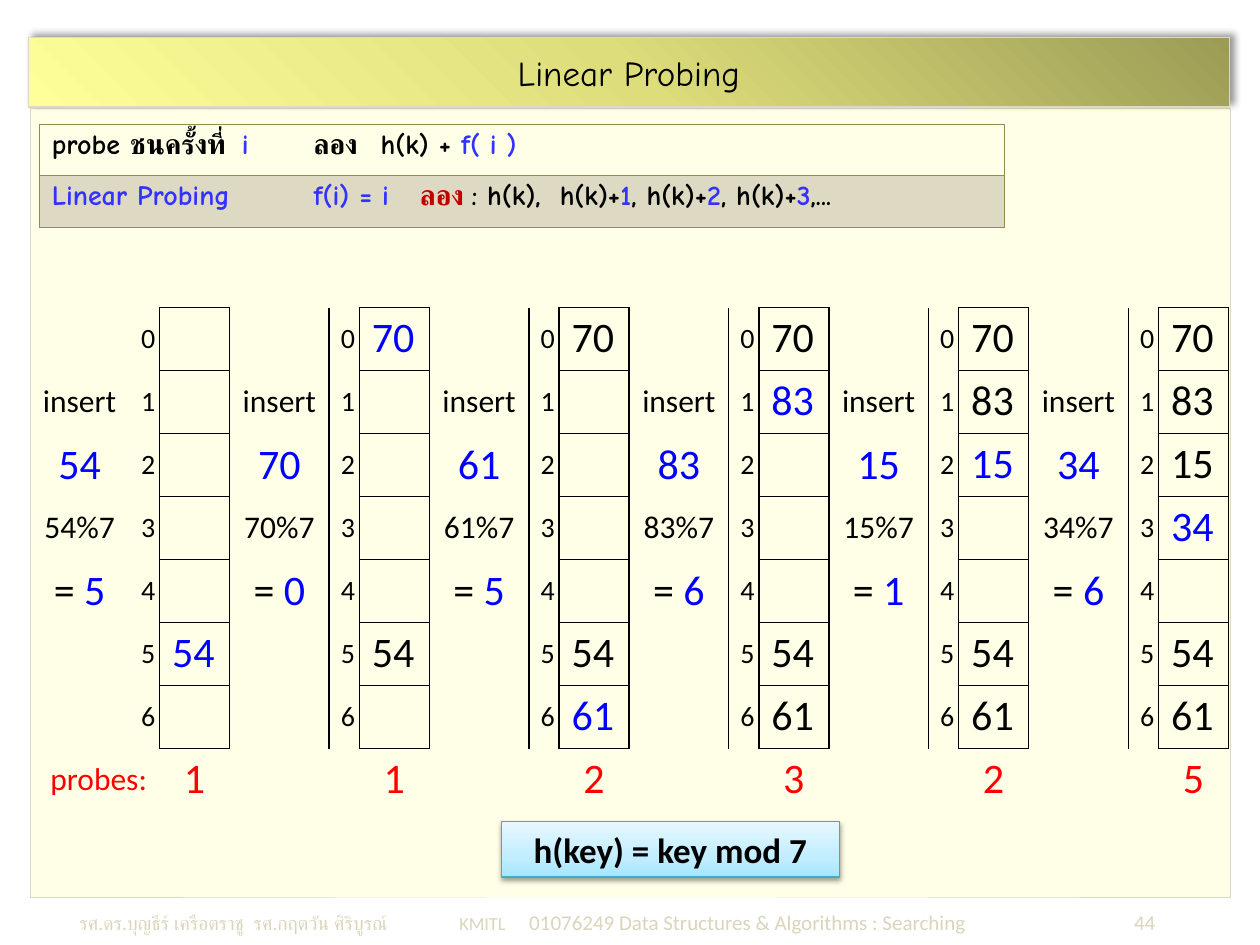
from dataclasses import dataclass

from lxml import etree
from pptx import Presentation
from pptx.dml.color import RGBColor
from pptx.enum.shapes import MSO_SHAPE
from pptx.enum.text import MSO_ANCHOR, PP_ALIGN
from pptx.oxml.ns import qn
from pptx.util import Cm, Pt

RECTANGLE = MSO_SHAPE.RECTANGLE
TOP, MIDDLE = MSO_ANCHOR.TOP, MSO_ANCHOR.MIDDLE
LEFT, CENTER, RIGHT = PP_ALIGN.LEFT, PP_ALIGN.CENTER, PP_ALIGN.RIGHT
EMU_PER_POINT = 12700
NO_STYLE = "{2D5ABB26-0587-4C30-8999-92F81FD0307C}"


@dataclass(frozen=True)
class Theme:
    black: str = "000000"
    panel: str = "FFFFE7"
    beige: str = "DDD9C3"
    olive: str = "948A54"
    teal: str = "46AAC5"
    footer: str = "DAD5BC"
    accent: str = "3333FF"
    new_key: str = "0000FF"
    red: str = "FF0000"
    dark_red: str = "C00000"
    title_stops: tuple = ((0, "9C9C56"), (50, "DDDD7B"), (100, "FFFF99"))
    note_stops: tuple = ((0, "A7E6FF"), (35, "C1EDFF"), (100, "E7F8FF"))
    body: str = "Calibri"
    hand: str = "Comic Neue"
    heading: float = 20
    key: float = 24
    step: float = 18
    label: float = 16
    small: float = 12


class SlideBuilder:
    def __init__(self, slide, theme):
        self.slide = slide
        self.theme = theme

    def fill_text(self, frame, spans, font, align=LEFT, tabs=()):
        """Fill a frame with one paragraph of (text, size, colour, bold) spans."""
        para = frame.paragraphs[0]
        para.alignment = align
        if tabs:
            tab_list = etree.SubElement(para._p.get_or_add_pPr(), qn("a:tabLst"))
            for position, kind in tabs:
                etree.SubElement(tab_list, qn("a:tab"), pos=str(Cm(position)), algn=kind)
        for text, size, colour, bold in spans:
            span = para.add_run()
            span.text = text
            span.font.name = font
            span.font.size = Pt(size)
            span.font.bold = bold
            span.font.color.rgb = RGBColor.from_string(colour)

    def rectangle(self, place, fill, line, weight):
        box = self.slide.shapes.add_shape(RECTANGLE, *map(Cm, place))
        box.shadow.inherit = False
        if isinstance(fill, str):
            box.fill.solid()
            box.fill.fore_color.rgb = RGBColor.from_string(fill)
        box.line.color.rgb = RGBColor.from_string(line)
        box.line.width = Pt(weight)
        return box

    def banner(self, place, stops, angle, line, shadow, text, font, bold):
        """Rectangle with a gradient, a soft shadow and a centred line of text."""
        box = self.rectangle(place, None, line, 0.75)
        box.fill.gradient()
        box.fill.gradient_angle = 360 - angle
        stop_list = box._element.spPr.find(".//" + qn("a:gsLst"))
        for stop in list(stop_list):
            stop_list.remove(stop)
        for position, colour in stops:
            stop = etree.SubElement(stop_list, qn("a:gs"), pos=str(position * 1000))
            etree.SubElement(stop, qn("a:srgbClr"), val=colour)
        alpha, blur, distance, direction = shadow
        outer = etree.SubElement(
            box._element.spPr.find(qn("a:effectLst")), qn("a:outerShdw"),
            blurRad=str(int(blur * EMU_PER_POINT)), dist=str(int(distance * EMU_PER_POINT)),
            dir=str(direction * 60000), algn="ctr", rotWithShape="0")
        colour = etree.SubElement(outer, qn("a:srgbClr"), val=self.theme.black)
        etree.SubElement(colour, qn("a:alpha"), val=str(alpha * 1000))
        box.text_frame.vertical_anchor = MIDDLE
        self.fill_text(box.text_frame, [(text, self.theme.heading, self.theme.black, bold)],
                       font, CENTER)

    def text(self, place, spans, font, tabs):
        box = self.slide.shapes.add_textbox(*map(Cm, place))
        box.text_frame.word_wrap = True
        self.fill_text(box.text_frame, spans, font, tabs=tabs)

    def table(self, left, top, widths, heights):
        frame = self.slide.shapes.add_table(len(heights), len(widths), Cm(left), Cm(top),
                                            Cm(sum(widths)), Cm(sum(heights)))
        table = frame.table
        table.first_row = table.horz_banding = False
        table._tbl.tblPr.find(qn("a:tableStyleId")).text = NO_STYLE
        for column, width in zip(table.columns, widths):
            column.width = Cm(width)
        for row, height in zip(table.rows, heights):
            row.height = Cm(height)
        return table

    def cell(self, cell, spans=(), font=None, align=LEFT, anchor=TOP, sides="",
             line=None, weight=1.0, fill=None, tabs=()):
        cell.vertical_anchor = anchor
        cell.margin_top = cell.margin_bottom = Cm(0.1)
        if spans:
            self.fill_text(cell.text_frame, spans, font or self.theme.body, align, tabs)
        if fill:
            cell.fill.solid()
            cell.fill.fore_color.rgb = RGBColor.from_string(fill)
        else:
            cell.fill.background()
        properties = cell._tc.get_or_add_tcPr()
        for index, side in enumerate(sides):
            border = etree.Element(qn("a:ln" + side), w=str(int(weight * EMU_PER_POINT)))
            paint = etree.SubElement(border, qn("a:solidFill"))
            etree.SubElement(paint, qn("a:srgbClr"), val=line or self.theme.black)
            properties.insert(index, border)


def probe_rules(builder):
    theme = builder.theme
    blue, black = theme.accent, theme.black
    rows = [
        ([("probe ชนครั้งที่\t", black), ("i\t", blue), ("ลอง\th(k) + ", black),
          ("f( i )", blue)], (3.83, 5.28, 6.63), None),
        ([("Linear Probing\tf(i) = i\t", blue), ("ลอง", theme.dark_red),
          (" : h(k),\th(k)+", black), ("1", blue), (", h(k)+", black), ("2", blue),
          (", h(k)+", black), ("3", blue), (",...", black)], (5.28, 7.42, 10.24), theme.beige),
    ]
    table = builder.table(0.79, 2.51, [19.46], [1.03] * len(rows))
    for index, (parts, stops, fill) in enumerate(rows):
        builder.cell(table.cell(index, 0),
                     [(text, theme.label, colour, True) for text, colour in parts],
                     theme.hand, sides="LRTB", line=theme.olive, weight=0.25, fill=fill,
                     tabs=[(stop, "l") for stop in stops])


def insertions(builder, keys, size):
    """One group of columns per key: the step, the slot numbers and the hash table."""
    theme = builder.theme
    black, blue = theme.black, theme.new_key
    table = builder.table(0.6, 6.2, [2.01, 0.59, 1.41] * len(keys), [1.27] * (size + 1))
    slots = [None] * size
    for group, key in enumerate(keys):
        home, probes = key % size, 1
        while slots[(home + probes - 1) % size] is not None:
            probes += 1
        slots[(home + probes - 1) % size] = key
        steps = {
            1: [("insert", theme.step, black, False)],
            2: [(str(key), theme.key, blue, False)],
            3: [(f"{key}%{size} ", theme.step, black, False)],
            4: [("= ", theme.key, black, False), (str(home), theme.key, blue, False)],
        }
        first = group * 3
        for row, value in enumerate(slots):
            builder.cell(table.cell(row, first), steps.get(row, ()), align=CENTER,
                         anchor=MIDDLE, sides="L" if group else "")
            number = table.cell(row, first + 1)
            builder.cell(number, [(str(row), theme.label, black, False)], align=CENTER,
                         anchor=MIDDLE, sides="R")
            number.margin_left, number.margin_right = Cm(0.15), 0
            shown = [] if value is None else [
                (str(value), theme.key, blue if value == key else black, False)]
            builder.cell(table.cell(row, first + 2), shown, sides="LRTB")
        builder.cell(table.cell(size, first + 2), [(str(probes), theme.key, theme.red, False)],
                     align=CENTER, sides="T")
    table.cell(size, 0).merge(table.cell(size, 1))
    builder.cell(table.cell(size, 0), [("probes:", theme.step, theme.red, False)],
                 align=RIGHT, anchor=MIDDLE)


def main():
    theme = Theme()
    deck = Presentation()
    deck.slide_width, deck.slide_height = Cm(25.4), Cm(19.05)
    builder = SlideBuilder(deck.slides.add_slide(deck.slide_layouts[6]), theme)

    # Background panel and footer
    builder.rectangle((0.61, 2.18, 24.2, 15.9), theme.panel, theme.beige, 0.25)
    footer = [
        ("รศ.ดร.บุญธีร์ เครือตราชู\tรศ.กฤตวัน ศิริบูรณ์", 11),
        ("\tKMITL", 10.5),
        ("\t01076249 Data Structures & Algorithms : Searching", theme.small),
        ("\t", theme.label),
        ("44", theme.small),
    ]
    builder.text((1.35, 18.06, 22.81, 0.94),
                 [(text, size, theme.footer, False) for text, size in footer],
                 theme.body, [(3.51, "l"), (7.66, "l"), (9.07, "l"), (21.69, "r")])

    # Title and hash function
    builder.banner((0.58, 0.76, 24.2, 1.4), theme.title_stops, 135, theme.beige,
                   (40, 4, 3, 315), "Linear Probing", theme.hand, False)
    builder.banner((10.11, 16.56, 6.81, 1.12), theme.note_stops, 270, theme.teal,
                   (38, 3.1, 1.6, 90), "h(key) = key mod 7", theme.body, True)

    # Probing rules and the six insertions
    probe_rules(builder)
    insertions(builder, [54, 70, 61, 83, 15, 34], 7)
    deck.save("out.pptx")


if __name__ == "__main__":
    main()
